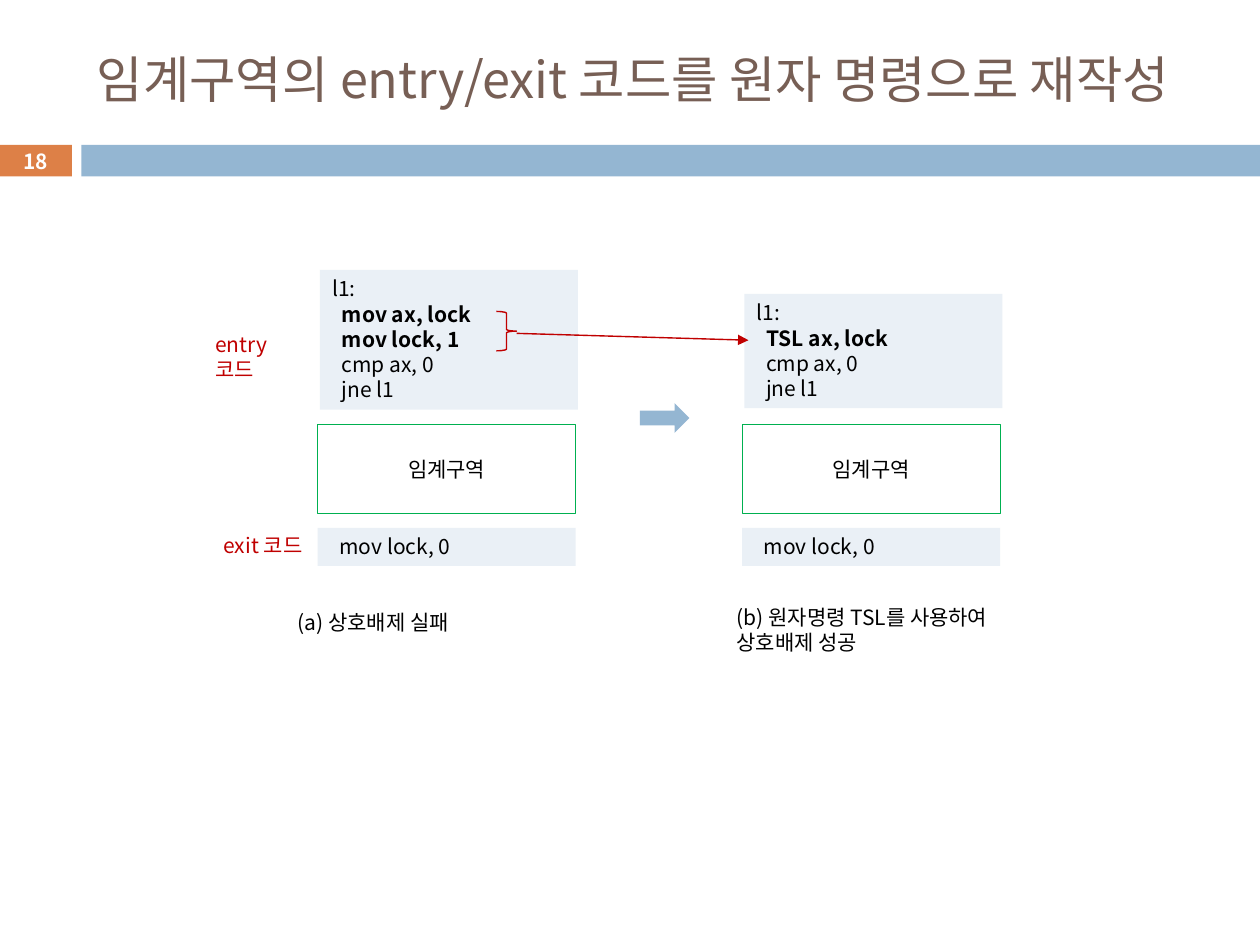
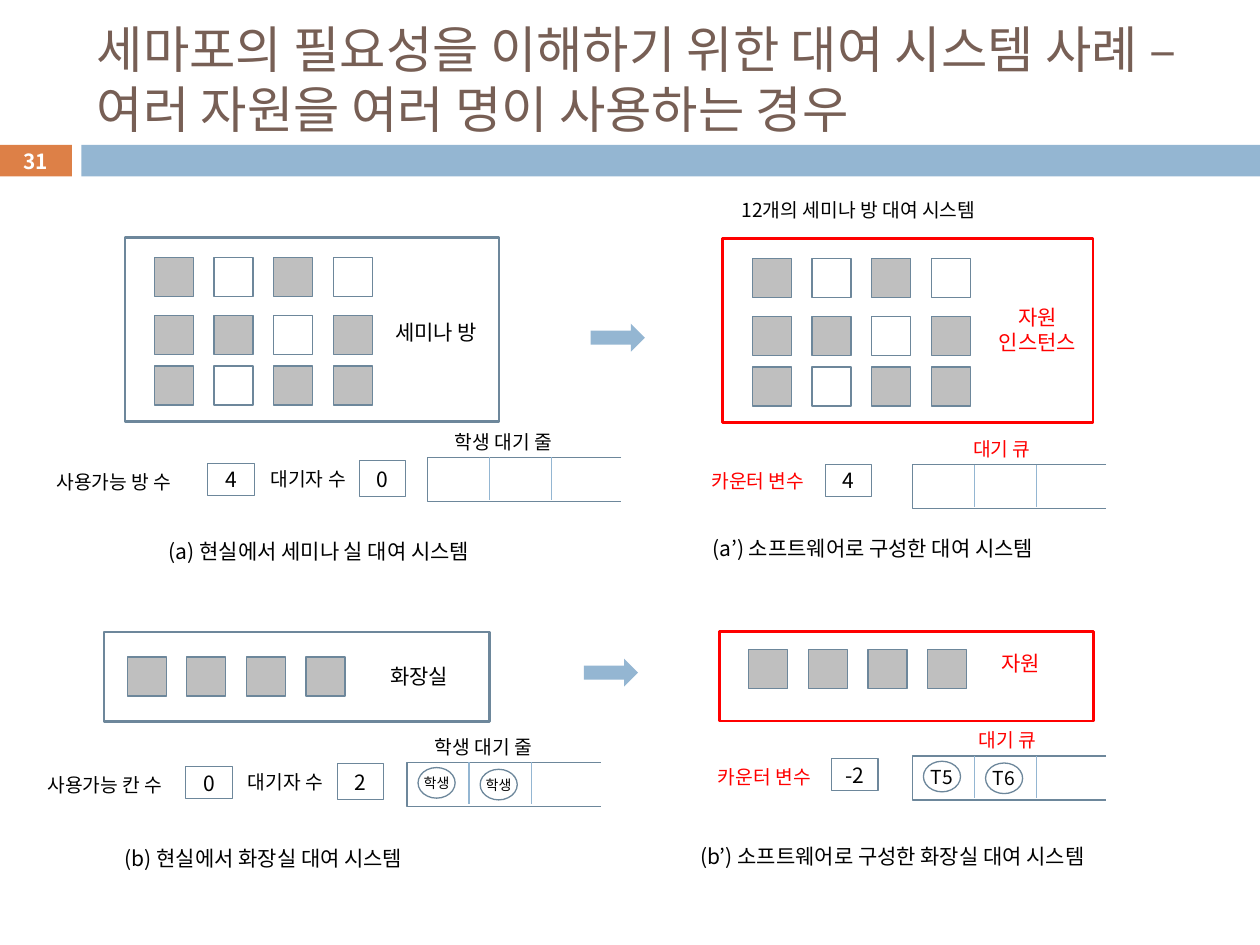
from lxml.etree import SubElement
from pptx import Presentation
from pptx.dml.color import RGBColor
from pptx.enum.shapes import MSO_CONNECTOR, MSO_SHAPE
from pptx.enum.text import MSO_ANCHOR, MSO_AUTO_SIZE, PP_ALIGN
from pptx.oxml.ns import qn
from pptx.util import Pt

FONT = "Noto Sans CJK KR"
BLACK = RGBColor(0x00, 0x00, 0x00)
WHITE = RGBColor(0xFF, 0xFF, 0xFF)
BROWN = RGBColor(0x77, 0x5F, 0x55)
ORANGE = RGBColor(0xDD, 0x80, 0x47)
BLUE = RGBColor(0x94, 0xB6, 0xD2)
PALE = RGBColor(0xEA, 0xF0, 0xF6)
SLATE = RGBColor(0x6D, 0x87, 0x9B)
GRAY = RGBColor(0xBF, 0xBF, 0xBF)
GREEN = RGBColor(0x00, 0xB0, 0x50)
CRIMSON = RGBColor(0xC0, 0x00, 0x00)
RED = RGBColor(0xFF, 0x00, 0x00)

TILE, PITCH = 22.3, 34.05
CELL = 35.5
ROOMS = ((0, "#.#."), (33.1, "##.#"), (62.2, "#.##"))
STALLS = ((0, "####"),)


def write(shape, text, size=12, color=BLACK, align=PP_ALIGN.LEFT, bold=()):
    """Fill a shape with one paragraph a line; bold lists line numbers."""
    frame = shape.text_frame
    frame.word_wrap = True
    frame.auto_size = MSO_AUTO_SIZE.NONE
    for i, line in enumerate(text.split("\n")):
        para = frame.add_paragraph() if i else frame.paragraphs[0]
        para.text = line
        para.alignment = align
        font = para.font
        font.name, font.size, font.bold = FONT, Pt(size), i in bold
        font.color.rgb = color
        props = para._p.get_or_add_pPr().get_or_add_defRPr()
        SubElement(props, qn("a:ea"), typeface=FONT)


def paint(shape, fill=None, line=None, width=0.75):
    shape.shadow.inherit = False
    if fill is None:
        shape.fill.background()
    else:
        shape.fill.solid()
        shape.fill.fore_color.rgb = fill
    if line is None:
        shape.line.fill.background()
    else:
        shape.line.color.rgb = line
        shape.line.width = Pt(width)


def draw(slide, kind, x, y, w, h, fill=None, line=None, width=0.75):
    shape = slide.shapes.add_shape(kind, Pt(x), Pt(y), Pt(w), Pt(h))
    paint(shape, fill, line, width)
    return shape


def rect(slide, *args, **style):
    return draw(slide, MSO_SHAPE.RECTANGLE, *args, **style)


def center(shape, text, size=12, color=BLACK, bold=()):
    """Write text in the middle of a shape, with no insets."""
    frame = shape.text_frame
    frame.margin_left = frame.margin_right = 0
    frame.margin_top = frame.margin_bottom = 0
    frame.vertical_anchor = MSO_ANCHOR.MIDDLE
    write(shape, text, size, color, PP_ALIGN.CENTER, bold)


def label(slide, text, x, y, w, size=12, color=BLACK, align=PP_ALIGN.LEFT):
    high = 7.2 + 14.4 * len(text.split("\n"))
    box = slide.shapes.add_textbox(Pt(x), Pt(y), Pt(w), Pt(high))
    write(box, text, size, color, align)


def link(slide, x1, y1, x2, y2, color, head=False):
    line = slide.shapes.add_connector(
        MSO_CONNECTOR.STRAIGHT, Pt(x1), Pt(y1), Pt(x2), Pt(y2))
    line.line.color.rgb = color
    line.line.width = Pt(0.79)
    if head:
        SubElement(line.line._get_or_add_ln(), qn("a:tailEnd"), type="triangle")
    SubElement(line._element.spPr, qn("a:effectLst"))


def code(slide, text, x, y, h, bold=()):
    box = rect(slide, x, y, 147.5, h, fill=PALE)
    box.text_frame.vertical_anchor = MSO_ANCHOR.TOP
    write(box, text, bold=bold)


def arrow(slide, x, y, w, h):
    draw(slide, MSO_SHAPE.RIGHT_ARROW, x, y, w, h, fill=BLUE)


def count(slide, text, x, y, w=26.6, h=18.2):
    center(rect(slide, x, y, w, h, line=SLATE), text)


def tiles(slide, x, y, rows):
    """Draw rows of squares, gray where the row has a #."""
    for drop, row in rows:
        for i, mark in enumerate(row):
            rect(slide, x + i * PITCH, y + drop, TILE, TILE,
                 fill=GRAY if mark == "#" else None, line=SLATE)


def queue(slide, x, y, names=(), size=11):
    """Draw a waiting line that is open on the right."""
    right, low = x + 110.7, y + 25.1
    pen = slide.shapes.build_freeform(Pt(right), Pt(y))
    pen.add_line_segments(
        [(Pt(x), Pt(y)), (Pt(x), Pt(low)), (Pt(right), Pt(low))], close=False)
    paint(pen.convert_to_shape(), line=SLATE)
    for i in (1, 2):
        link(slide, x + i * CELL, y, x + i * CELL, low - 1, BLUE)
    for i, name in enumerate(names):
        oval = draw(slide, MSO_SHAPE.OVAL, x + 6.3 + i * CELL, y + 3 + i,
                    21.2, 17.5, line=SLATE)
        center(oval, name, size)


def start(deck, title, number):
    """Add a slide with its title, band and number."""
    slide = deck.slides.add_slide(deck.slide_layouts[5])
    head = slide.shapes.title
    head.left, head.top, head.width, head.height = map(Pt, (48.2, 18, 642.2, 53.3))
    head.text_frame.vertical_anchor = MSO_ANCHOR.MIDDLE
    write(head, title, 28.8, BROWN)
    tag = rect(slide, 0, 82.8, 41.1, 18, fill=ORANGE)
    center(tag, number, 11.9, WHITE, bold=(0,))
    rect(slide, 46.5, 82.8, 673.5, 18, fill=BLUE)
    return slide


def atomic(deck):
    slide = start(deck, "임계구역의 entry/exit 코드를 원자 명령으로 재작성", "18")
    code(slide, "l1:\n  mov ax, lock\n  mov lock, 1\n  cmp ax, 0\n  jne l1",
         182.8, 154.2, 80, bold=(1, 2))
    code(slide, "l1:\n  TSL ax, lock\n  cmp ax, 0\n  jne l1",
         425.3, 167.9, 65.3, bold=(1,))
    for x in (181.5, 424.1):
        center(rect(slide, x, 242.5, 147.5, 51, line=GREEN), "임계구역")
        code(slide, "  mov lock, 0", x, 301.6, 21.8)
    label(slide, "entry\n코드", 115.9, 185.8, 71, color=CRIMSON)
    label(slide, "exit 코드", 120.6, 301, 72, color=CRIMSON)
    label(slide, "(a) 상호배제 실패", 163, 344.7, 125)
    label(slide, "(b) 원자명령 TSL를 사용하여\n상호배제 성공", 413.8, 342, 190)
    draw(slide, MSO_SHAPE.RIGHT_BRACE, 283.7, 178, 11.5, 22.5,
         line=CRIMSON, width=0.79)
    link(slide, 295.2, 190.5, 427.7, 194.4, CRIMSON, head=True)
    arrow(slide, 365.7, 230.4, 28.3, 17)


def rental(deck):
    slide = start(deck, "세마포의 필요성을 이해하기 위한 대여 시스템 사례 "
                  "– 여러 자원을 여러 명이 사용하는 경우", "31")
    for x, y, w, h, color in (
            (71.4, 135.8, 213.8, 105.2, SLATE), (413, 136.3, 211.5, 105.2, RED),
            (59.5, 361.2, 220.3, 51, SLATE), (411, 360.8, 213.8, 51.2, RED)):
        rect(slide, x, y, w, h, line=color, width=1.5)
    for x, y, rows in (
            (88.3, 147, ROOMS), (430, 147.6, ROOMS),
            (72.7, 375.5, STALLS), (427.9, 371.2, STALLS)):
        tiles(slide, x, y, rows)

    for text, x, y, w, color in (
            ("사용가능 방 수", 25.2, 265, 95, BLACK),
            ("대기자 수", 147.5, 263.5, 66, BLACK),
            ("사용가능 칸 수", 20, 438.5, 95, BLACK),
            ("대기자 수", 134.6, 436.5, 66, BLACK),
            ("카운터 변수", 399.4, 264.8, 78, RED),
            ("카운터 변수", 403.2, 434, 78, RED),
            ("12개의 세미나 방 대여 시스템", 416.6, 110, 170, BLACK)):
        label(slide, text, x, y, w, 11, color)
    for text, x, y in (("4", 118.8, 264.9), ("0", 106.2, 438.2),
                       ("4", 471.6, 265.5), ("-2", 475.2, 433.6)):
        count(slide, text, x, y)
    for text, x, y in (("0", 205.6, 263.2), ("2", 192.8, 436.4)):
        count(slide, text, x, y, 26.2, 20.6)

    for text, mid, y, color in (
            ("학생 대기 줄", 287.8, 242.3, BLACK), ("학생 대기 줄", 276.3, 416.8, BLACK),
            ("대기 큐", 572.5, 246.2, RED), ("대기 큐", 575.5, 412.8, RED)):
        label(slide, text, mid - 55, y, 110, 11, color, PP_ALIGN.CENTER)
    queue(slide, 244.2, 261.4)
    queue(slide, 232.6, 435.6, ("학생", "학생"), 8)
    queue(slide, 521.4, 265.5)
    queue(slide, 521.4, 432, ("T5", "T6"))

    for text, x, y, w in (
            ("세미나 방", 218.8, 179.2, 70), ("화장실", 216, 375.8, 55),
            ("(a) 현실에서 세미나 실 대여 시스템", 89.4, 304, 220),
            ("(a’) 소프트웨어로 구성한 대여 시스템", 400.2, 302.3, 225),
            ("(b) 현실에서 화장실 대여 시스템", 64.2, 479.5, 200),
            ("(b’) 소프트웨어로 구성한 화장실 대여 시스템", 393.2, 478.3, 265)):
        label(slide, text, x, y, w)
    label(slide, "자원\n인스턴스", 561.2, 170.6, 63.4, color=RED,
          align=PP_ALIGN.CENTER)
    label(slide, "자원", 565.2, 368, 45, color=RED)
    arrow(slide, 337.5, 185, 31, 16)
    arrow(slide, 333.6, 376.4, 31, 16)


def main():
    deck = Presentation()
    deck.slide_width, deck.slide_height = Pt(720), Pt(540)
    atomic(deck)
    rental(deck)
    deck.save("out.pptx")


if __name__ == "__main__":
    main()
